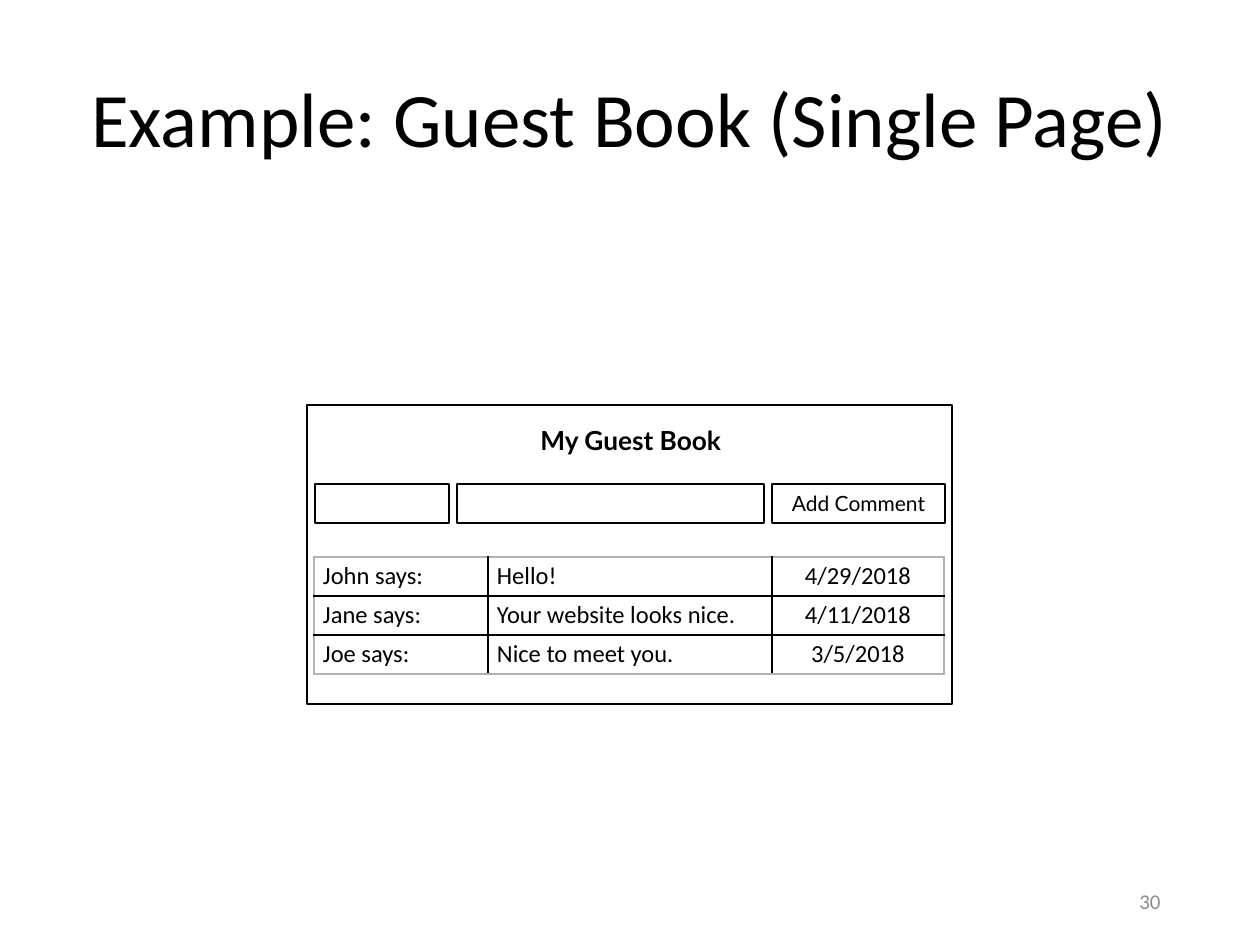
from lxml import etree
from pptx import Presentation
from pptx.dml.color import RGBColor
from pptx.enum.shapes import MSO_SHAPE
from pptx.enum.text import MSO_ANCHOR, PP_ALIGN
from pptx.oxml.ns import qn
from pptx.util import Emu, Pt

RECTANGLE = MSO_SHAPE.RECTANGLE
MIDDLE, TOP = MSO_ANCHOR.MIDDLE, MSO_ANCHOR.TOP
LEFT, CENTER, RIGHT = PP_ALIGN.LEFT, PP_ALIGN.CENTER, PP_ALIGN.RIGHT
PX_PER_INCH = 126
BLACK, GRAY, BORDER_GRAY = "000000", "8C8C8C", "B2B2B2"


def px(length):
    return Emu(round(length * 914400 / PX_PER_INCH))


def color(hex_value):
    return RGBColor.from_string(hex_value)


class GuestBookSlide:
    body_font = "Calibri"
    page_font = "Lato"

    def __init__(self, presentation):
        self.slide = presentation.slides.add_slide(presentation.slide_layouts[5])

    def set_text(self, frame, text, size, font=body_font, ink=BLACK, bold=False,
                 align=LEFT, anchor=MIDDLE, wrap=True):
        for name, value in {"word_wrap": wrap, "vertical_anchor": anchor}.items():
            setattr(frame, name, value)
        paragraph = frame.paragraphs[0]
        paragraph.alignment = align
        run = paragraph.add_run()
        run.text = text
        for name, value in {"name": font, "size": Pt(size), "bold": bold}.items():
            setattr(run.font, name, value)
        run.font.color.rgb = color(ink)

    def title(self, text, left, top, width, height):
        heading = self.slide.shapes.title
        place = {"left": left, "top": top, "width": width, "height": height}
        for name, value in place.items():
            setattr(heading, name, px(value))
        self.set_text(heading.text_frame, text, 44, align=CENTER)

    def label(self, text, left, top, width, height, size, **style):
        box = self.slide.shapes.add_textbox(*map(px, (left, top, width, height)))
        self.set_text(box.text_frame, text, size, **style)

    def outline(self, left, top, width, height, text=""):
        box = self.slide.shapes.add_shape(
            RECTANGLE, *map(px, (left, top, width, height)))
        box.shadow.inherit = False
        box.fill.background()
        box.line.color.rgb = color(BLACK)
        box.line.width = Pt(0.75)
        if text:
            self.set_text(box.text_frame, text, 12, font=self.page_font,
                          align=CENTER, wrap=False)

    def cell_border(self, cell, side, ink):
        properties = cell._tc.get_or_add_tcPr()
        line = etree.SubElement(properties, qn(f"a:{side}"), w=str(Pt(1)))
        fill = etree.SubElement(line, qn("a:solidFill"))
        etree.SubElement(fill, qn("a:srgbClr"), val=ink)

    def table(self, rows, left, top, widths, row_height, alignments):
        last_row, last_column = len(rows) - 1, len(widths) - 1
        grid = self.slide.shapes.add_table(
            len(rows), len(widths), px(left), px(top),
            px(sum(widths)), px(row_height * len(rows))).table
        grid.first_row = grid.horz_banding = False
        for column, width in zip(grid.columns, widths):
            column.width = px(width)
        margins = {"margin_left": 9, "margin_right": 9,
                   "margin_top": 4, "margin_bottom": 4}
        for r, values in enumerate(rows):
            grid.rows[r].height = px(row_height)
            for c, (value, align) in enumerate(zip(values, alignments)):
                cell = grid.cell(r, c)
                for name, margin in margins.items():
                    setattr(cell, name, px(margin))
                self.set_text(cell.text_frame, value, 14, align=align, anchor=None)
                outer_edges = {"lnL": c == 0, "lnR": c == last_column,
                               "lnT": r == 0, "lnB": r == last_row}
                for side, is_outer in outer_edges.items():
                    self.cell_border(cell, side, BORDER_GRAY if is_outer else BLACK)
                cell.fill.background()


def main():
    presentation = Presentation()
    presentation.slide_width, presentation.slide_height = px(1260), px(945)
    page = GuestBookSlide(presentation)

    page.title("Example: Guest Book (Single Page)", 63, 38, 1134, 157)
    page.label("My Guest Book", 528, 418, 223, 44, 15, font=page.page_font,
               bold=True, anchor=TOP, wrap=False)
    page.outline(307, 405, 645, 299)

    form_left, form_gap = 315, 8
    for width, caption in ((134, ""), (307, ""), (173, "Add Comment")):
        page.outline(form_left, 484, width, 39, caption)
        form_left += width + form_gap

    comments = (
        ("John says:", "Hello!", "4/29/2018"),
        ("Jane says:", "Your website looks nice.", "4/11/2018"),
        ("Joe says:", "Nice to meet you.", "3/5/2018"),
    )
    page.table(comments, 314, 557, (174, 284, 172), 39, (LEFT, LEFT, CENTER))
    page.label("30", 890, 876, 283, 50, 12, ink=GRAY, align=RIGHT)
    presentation.save("out.pptx")


if __name__ == "__main__":
    main()
